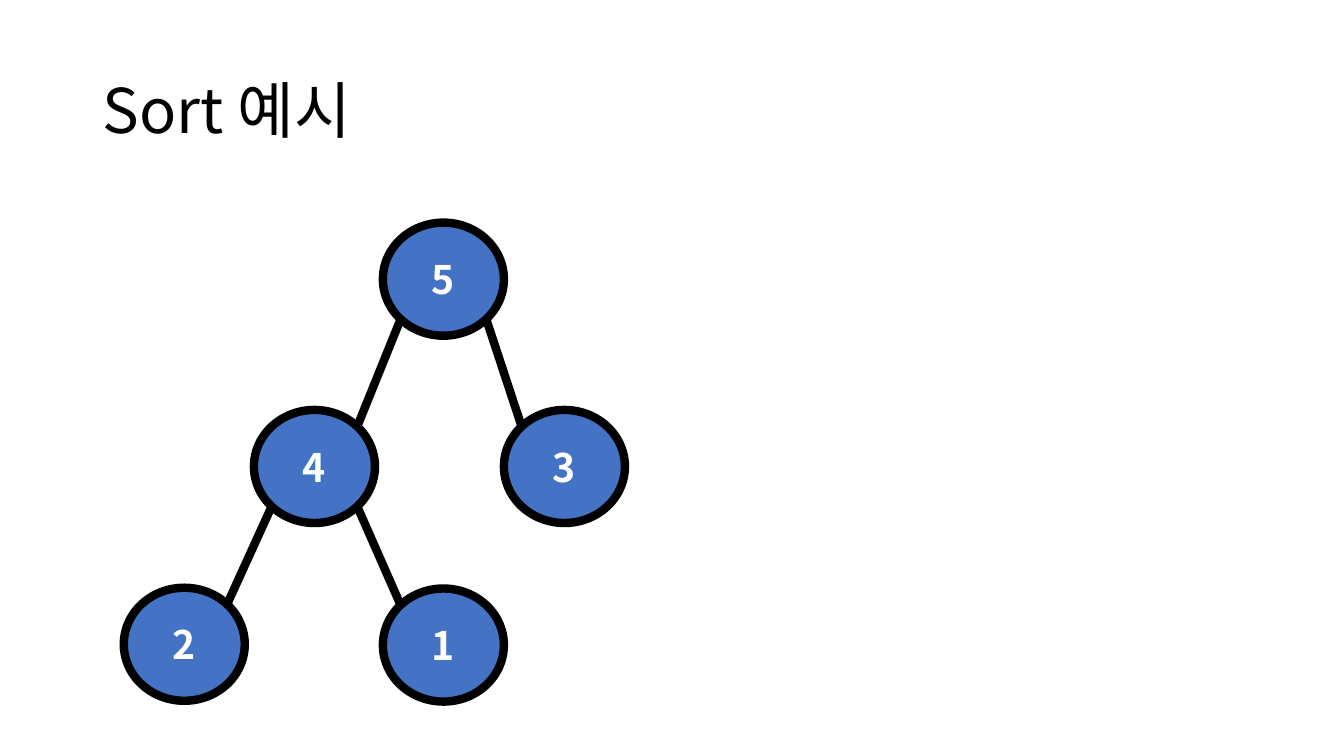
from lxml import etree
from pptx import Presentation
from pptx import util as u
from pptx.dml.color import RGBColor
from pptx.enum import shapes, text
from pptx.oxml import ns

BLACK = RGBColor(0x00, 0x00, 0x00)
WHITE = RGBColor(0xFF, 0xFF, 0xFF)
BLUE = RGBColor(0x44, 0x72, 0xC4)
FONT = "Noto Sans CJK KR"

NODE_WIDTH, NODE_HEIGHT = 3.05, 2.85
OUTLINE = u.Pt(6)
# Top-left corner of each node inside the tree box, in centimetres
NODES = {
    "5": (6.53, 0),
    "4": (3.28, 4.72),
    "3": (9.58, 4.72),
    "2": (0, 9.2),
    "1": (6.53, 9.22),
}
EDGES = [("5", "4"), ("5", "3"), ("4", "2"), ("4", "1")]
DIAGONAL = 0.5 ** 0.5


def style_paragraph(para, size, color, bold, align):
    """Set the font and alignment of a whole paragraph."""
    para.alignment = align
    font = para.font
    font.name, font.size, font.bold = FONT, u.Pt(size), bold
    font.color.rgb = color
    east_asian = etree.SubElement(font._element, ns.qn("a:ea"))
    east_asian.set("typeface", FONT)


def add_title(page, left, top, width, height):
    """Place the page title in its placeholder."""
    title = page.shapes.title
    title.left, title.top = u.Cm(left), u.Cm(top)
    title.width, title.height = u.Cm(width), u.Cm(height)
    frame = title.text_frame
    frame.text = "Sort 예시"
    frame.auto_size = text.MSO_AUTO_SIZE.NONE
    frame.vertical_anchor = text.MSO_ANCHOR.MIDDLE
    para = frame.paragraphs[0]
    para.line_spacing = 0.9
    style_paragraph(para, 44, BLACK, False, text.PP_ALIGN.LEFT)


def add_node(page, label, left, top):
    """Draw one numbered tree node."""
    node = page.shapes.add_shape(
        shapes.MSO_SHAPE.OVAL,
        u.Cm(left), u.Cm(top), u.Cm(NODE_WIDTH), u.Cm(NODE_HEIGHT))
    node.shadow.inherit = False
    node.fill.solid()
    node.fill.fore_color.rgb = BLUE
    node.line.color.rgb = BLACK
    node.line.width = OUTLINE
    frame = node.text_frame
    frame.text = label
    frame.vertical_anchor = text.MSO_ANCHOR.MIDDLE
    style_paragraph(frame.paragraphs[0], 28, WHITE, True, text.PP_ALIGN.CENTER)


def rim_point(corner, across, down):
    """Return the diagonal point on a node's rim; across and down are -1 or 1."""
    left, top = corner
    return (u.Cm(left + NODE_WIDTH / 2 * (1 + across * DIAGONAL)),
            u.Cm(top + NODE_HEIGHT / 2 * (1 + down * DIAGONAL)))


def add_edge(page, parent, child):
    """Join the lower rim of a parent to the upper rim of its child."""
    side = 1 if child[0] > parent[0] else -1
    edge = page.shapes.add_connector(
        shapes.MSO_CONNECTOR.STRAIGHT,
        *rim_point(parent, side, 1), *rim_point(child, -side, -1))
    edge.line.color.rgb = BLACK
    edge.line.width = OUTLINE
    etree.SubElement(edge._element.spPr, ns.qn("a:effectLst"))


def add_tree(page, left, top):
    """Draw the heap as a binary tree from the given corner."""
    corners = {label: (left + x, top + y) for label, (x, y) in NODES.items()}
    for parent, child in EDGES:
        add_edge(page, corners[parent], corners[child])
    for label, corner in corners.items():
        add_node(page, label, *corner)


def build_deck():
    """Build the one-page deck and save it."""
    deck = Presentation()
    deck.slide_width, deck.slide_height = u.Cm(33.87), u.Cm(19.05)
    page = deck.slides.add_slide(deck.slide_layouts[5])
    add_title(page, 2.33, 1.01, 29.21, 3.68)
    add_tree(page, 3.12, 5.61)
    deck.save("out.pptx")


build_deck()
